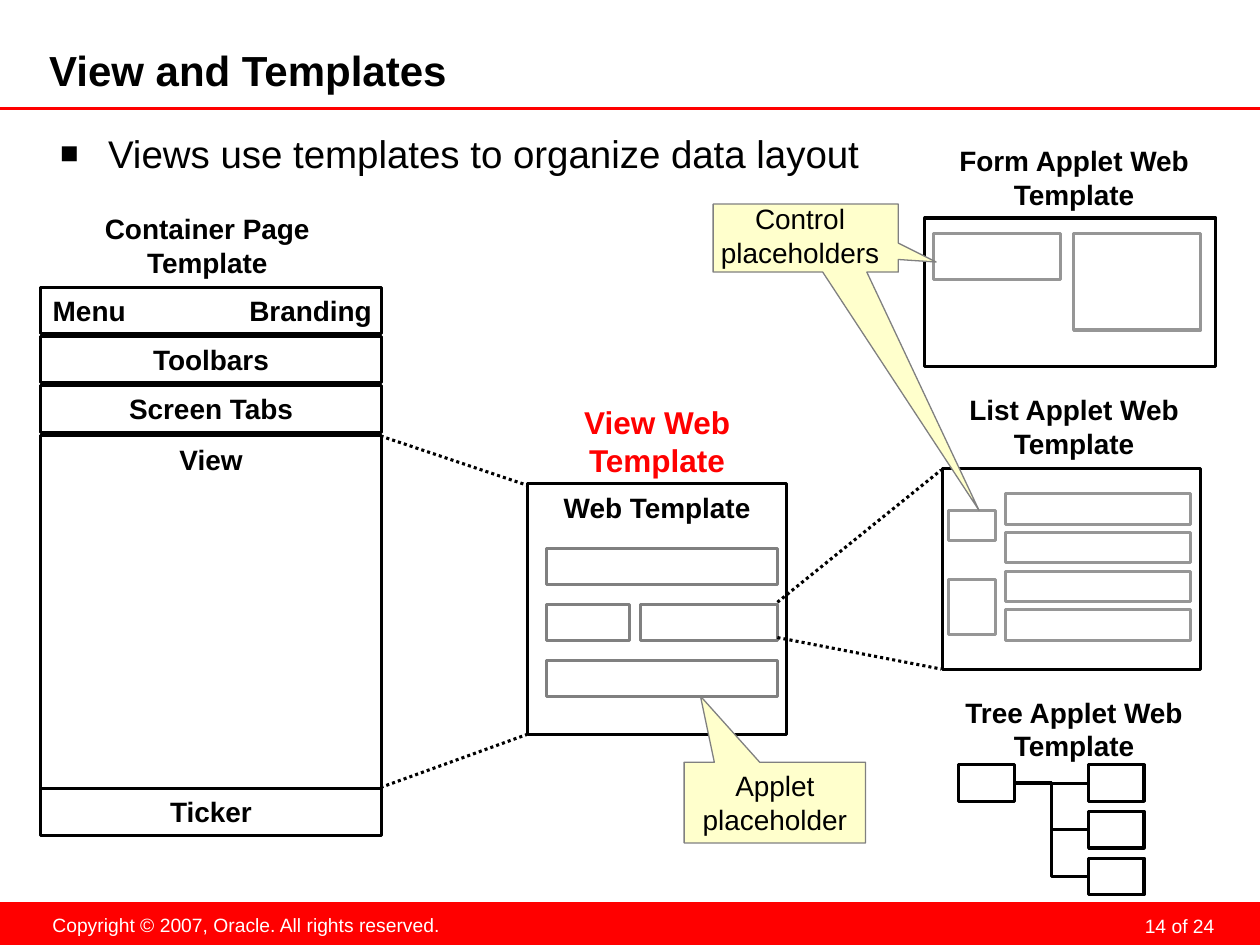
from lxml.etree import SubElement
from pptx import Presentation
from pptx.dml.color import RGBColor
from pptx.enum.dml import MSO_LINE
from pptx.enum.shapes import MSO_CONNECTOR, MSO_SHAPE
from pptx.enum.text import MSO_ANCHOR, PP_ALIGN
from pptx.oxml.ns import qn
from pptx.util import Inches, Pt

RED = RGBColor(0xFF, 0x00, 0x00)
BLACK = RGBColor(0x00, 0x00, 0x00)
WHITE = RGBColor(0xFF, 0xFF, 0xFF)
DARK_GRAY = RGBColor(0x80, 0x80, 0x80)
LIGHT_GRAY = RGBColor(0x96, 0x96, 0x96)
CREAM = RGBColor(0xFF, 0xFF, 0xCC)

WIDTH, HEIGHT = 10, 7.5
INSETS = (0.1, 0.05, 0.1, 0.05)
FRAME_LINE = 1.75
ROW_HEIGHT, ROW_PITCH = 0.37, 0.39


def inches(*lengths):
    return [Inches(length) for length in lengths]


def write(shape, text, size=16, bold=True, color=BLACK, align=PP_ALIGN.CENTER,
          anchor=MSO_ANCHOR.TOP, insets=INSETS, wrap=True, spacing=None):
    """Put formatted text in a shape, one paragraph per line."""
    frame = shape.text_frame
    frame.text = text
    frame.word_wrap = wrap
    frame.vertical_anchor = anchor
    (frame.margin_left, frame.margin_top,
     frame.margin_right, frame.margin_bottom) = inches(*insets)
    for paragraph in frame.paragraphs:
        paragraph.alignment = align
        if spacing:
            paragraph.line_spacing = Pt(spacing)
        for run in paragraph.runs:
            run.font.name = "Arial"
            run.font.size = Pt(size)
            run.font.bold = bold
            run.font.color.rgb = color
    return shape


def add_label(slide, text, box, **text_format):
    return write(slide.shapes.add_textbox(*inches(*box)), text, **text_format)


def paint(shape, fill=None, line=BLACK, weight=FRAME_LINE):
    shape.shadow.inherit = False
    if fill is None:
        shape.fill.background()
    else:
        shape.fill.solid()
        shape.fill.fore_color.rgb = fill
    if line is None:
        shape.line.fill.background()
    else:
        shape.line.color.rgb = line
        shape.line.width = Pt(weight)
    return shape


def add_box(slide, box, text=None, kind=MSO_SHAPE.RECTANGLE, **look):
    shape = paint(slide.shapes.add_shape(kind, *inches(*box)), **look)
    return write(shape, text) if text else shape


def add_line(slide, start=(0, 0), end=(0, 0), color=BLACK, dash=None,
             kind=MSO_CONNECTOR.STRAIGHT):
    line = slide.shapes.add_connector(kind, *inches(*start, *end))
    line.line.color.rgb = color
    line.line.width = Pt(FRAME_LINE)
    if dash:
        line.line.dash_style = dash
    SubElement(line._element.spPr, qn("a:effectLst"))
    return line


def add_heading(slide):
    title = slide.shapes.title
    title.left, title.top, title.width, title.height = inches(0.39, 0.38, 7.87, 0.4)
    write(title, "View and Templates", size=24, align=PP_ALIGN.LEFT,
          anchor=MSO_ANCHOR.MIDDLE, insets=(0, 0, 0.05, 0.05))
    add_line(slide, (0, 0.86), (WIDTH, 0.86), color=RED)

    point = add_label(slide, "Views use templates to organize data layout",
                      (0.38, 0.93, 9.3, 0.55), size=22, bold=False,
                      align=PP_ALIGN.LEFT, insets=(0.1, 0.1, 0.1, 0.05))
    properties = point.text_frame.paragraphs[0]._p.get_or_add_pPr()
    properties.set("marL", str(Inches(0.38)))
    properties.set("indent", str(-Inches(0.38)))
    SubElement(properties, qn("a:buSzPct"), val="80000")
    SubElement(properties, qn("a:buFont"), typeface="Arial")
    SubElement(properties, qn("a:buChar"), char="■")


def add_footer(slide):
    add_box(slide, (0, 7.16, WIDTH, HEIGHT - 7.16), fill=RED, line=None)
    small = dict(size=11, bold=False, color=WHITE)
    add_label(slide, "14 of 24", (7.36, 7.19, 2.33, 0.25), align=PP_ALIGN.RIGHT,
              insets=(0.05, 0, 0.05, 0), spacing=18, **small)
    add_label(slide, "Copyright © 2007, Oracle. All rights reserved.",
              (0.31, 7.2, 3.29, 0.29), wrap=False, **small)


def add_container_page(slide):
    left, top, width = 0.32, 2.28, 2.71
    add_label(slide, "Container Page Template", (0.62, 1.63, 2.05, 0.64))
    menu = add_box(slide, (left, top, width, ROW_HEIGHT))
    write(menu, "Menu", align=PP_ALIGN.LEFT)
    add_label(slide, "Branding", (left + 0.02, top, width, ROW_HEIGHT),
              align=PP_ALIGN.RIGHT)
    for row, text in enumerate(["Toolbars", "Screen Tabs"], start=1):
        add_box(slide, (left, top + row * ROW_PITCH, width, ROW_HEIGHT), text)
    view_top, view_height = 3.46, 2.8
    add_box(slide, (left, view_top, width, view_height), "View")
    add_box(slide, (left, view_top + view_height, width, ROW_HEIGHT), "Ticker")


def add_view_template(slide):
    add_label(slide, "View Web Template", (4.19, 3.15, 2.05, 0.7),
              size=18, color=RED)
    add_box(slide, (4.19, 3.84, 2.05, 1.99), "Web Template")
    # Applet placeholders: row, left, width
    for row, left, width in [(0, 4.34, 1.83), (1, 4.34, 0.66),
                             (1, 5.08, 1.09), (2, 4.34, 1.83)]:
        add_box(slide, (left, 4.35 + row * 0.445, width, 0.29), line=DARK_GRAY)


def add_applet_templates(slide):
    for applet, top in [("Form", 1.09), ("List", 3.07), ("Tree", 5.47)]:
        add_label(slide, f"{applet} Applet Web Template", (7.24, top, 2.57, 0.64))

    # Form and list frames with their control placeholders
    add_box(slide, (7.34, 1.73, 2.31, 1.18))
    add_box(slide, (7.48, 3.72, 2.05, 1.59))
    form_controls = [(7.41, 1.85, 1.01, 0.37), (8.52, 1.85, 1.01, 0.77)]
    list_buttons = [(7.53, 4.05, 0.37, 0.24), (7.53, 4.6, 0.37, 0.44)]
    list_rows = [(7.98, 3.92 + row * 0.307, 1.47, 0.24) for row in range(4)]
    for control in form_controls + list_buttons + list_rows:
        add_box(slide, control, line=LIGHT_GRAY)

    # Tree: a root joined to three branches
    root = add_box(slide, (7.61, 6.07, 0.44, 0.29))
    for row in range(3):
        branch = add_box(slide, (8.64, 6.07 + row * 0.37, 0.44, 0.29))
        kind = MSO_CONNECTOR.ELBOW if row else MSO_CONNECTOR.STRAIGHT
        link = add_line(slide, kind=kind)
        link.begin_connect(root, 3)
        link.end_connect(branch, 1)


def add_zoom_lines(slide):
    for start, end in [((3.02, 3.46), (4.18, 3.85)), ((3.02, 6.25), (4.18, 5.83)),
                       ((6.17, 4.78), (7.47, 3.73)), ((6.17, 5.06), (7.47, 5.31))]:
        add_line(slide, start, end, dash=MSO_LINE.ROUND_DOT)


def add_callouts(slide):
    note = dict(fill=CREAM, line=DARK_GRAY, weight=0.75)
    applet_note = add_box(slide, (5.43, 6.05, 1.44, 0.64),
                          kind=MSO_SHAPE.RECTANGULAR_CALLOUT, **note)
    applet_note.adjustments[0] = -0.41
    applet_note.adjustments[1] = -1.32
    write(applet_note, "Applet placeholder", bold=False, anchor=MSO_ANCHOR.MIDDLE)

    # Two-pointed callout to the form and list controls
    outline = [(5.66, 1.62), (7.13, 1.62), (7.13, 1.93), (7.43, 2.08), (7.13, 2.06),
               (7.13, 2.16), (6.88, 2.16), (7.77, 4.05), (6.53, 2.16), (5.66, 2.16)]
    corners = [inches(*corner) for corner in outline]
    builder = slide.shapes.build_freeform(*corners[0])
    builder.add_line_segments(corners[1:], close=True)
    paint(builder.convert_to_shape(), **note)
    add_label(slide, "Control\nplaceholders", (5.6, 1.55, 1.5, 0.64), bold=False)


def main():
    deck = Presentation()
    deck.slide_width, deck.slide_height = inches(WIDTH, HEIGHT)
    slide = deck.slides.add_slide(deck.slide_layouts[5])
    add_footer(slide)
    add_heading(slide)
    add_container_page(slide)
    add_view_template(slide)
    add_applet_templates(slide)
    add_zoom_lines(slide)
    add_callouts(slide)
    deck.save("out.pptx")


if __name__ == "__main__":
    main()
